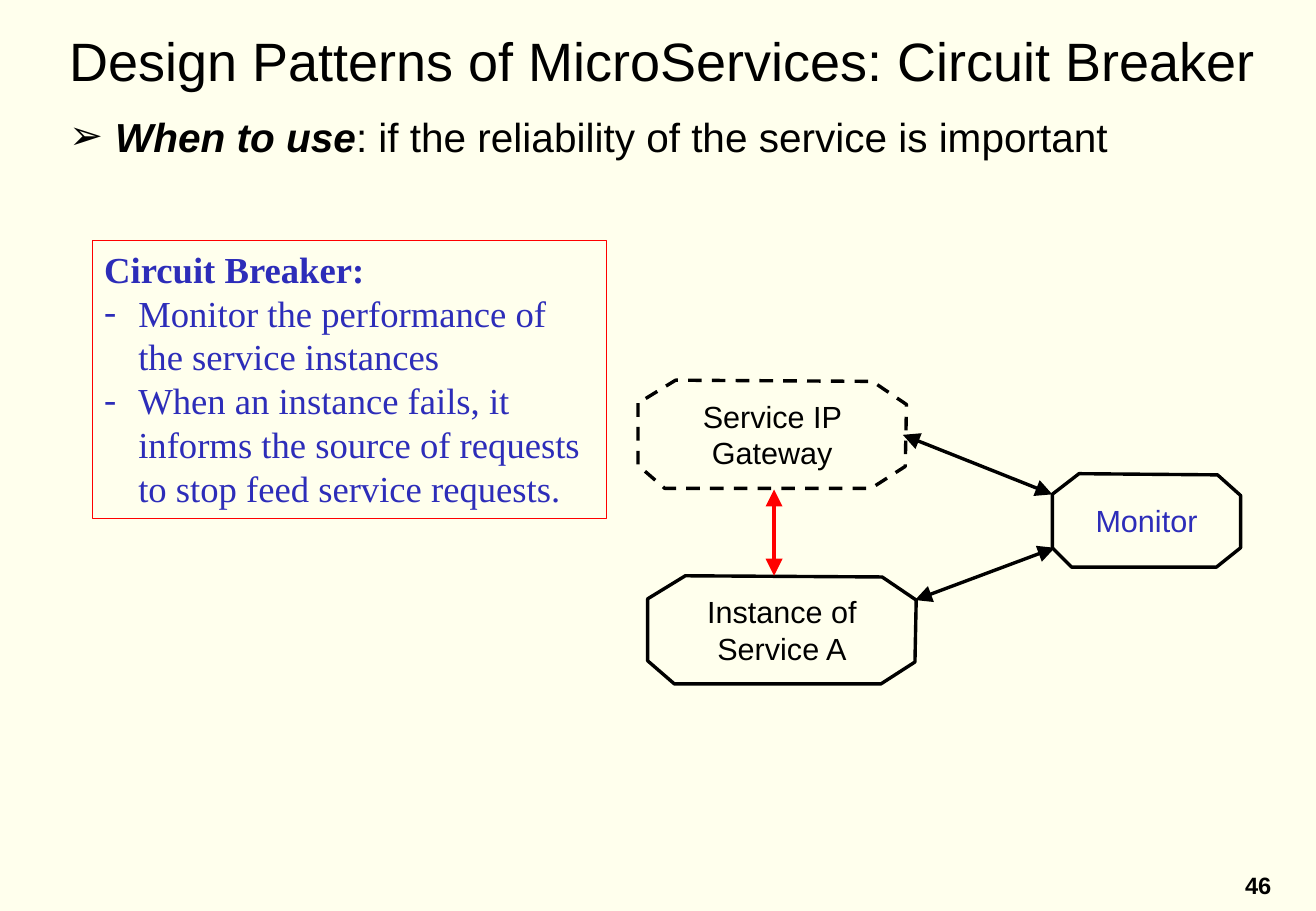
import pptx
import pptx.util
import pptx.dml.color
import pptx.enum.dml
import pptx.enum.shapes
import pptx.enum.text
import pptx.oxml.ns
import lxml.etree

PX = 9144
COLORS = {"cream": "FFFFED", "black": "000000", "red": "FF0000", "blue": "2D2DB9"}
ALIGN = pptx.enum.text.PP_ALIGN
ANCHOR = pptx.enum.text.MSO_ANCHOR
qn = pptx.oxml.ns.qn


def color(name):
    return pptx.dml.color.RGBColor.from_string(COLORS[name])


def write(shape, lines, size, ink="black", font="Arial", align=ALIGN.LEFT,
          anchor=ANCHOR.TOP, bullet=None, indent=0):
    frame = shape.text_frame
    frame.word_wrap = True
    frame.vertical_anchor = anchor
    for index, spans in enumerate(lines):
        para = frame.paragraphs[0] if index == 0 else frame.add_paragraph()
        para.alignment = align
        if bullet and (index > 0 or len(lines) == 1):
            properties = para._p.get_or_add_pPr()
            properties.set("marL", str(indent * PX))
            properties.set("indent", str(-indent * PX))
            lxml.etree.SubElement(properties, qn("a:buFont")).set("typeface", font)
            lxml.etree.SubElement(properties, qn("a:buChar")).set("char", bullet)
        para.font.name = font
        para.font.size = pptx.util.Pt(size)
        para.font.color.rgb = color(ink)
        for text, bold, italic in spans:
            span = para.add_run()
            span.text = text
            span.font.bold = bold
            span.font.italic = italic


deck = pptx.Presentation()
deck.slide_width = 1083 * PX
deck.slide_height = 750 * PX
page = deck.slides.add_slide(deck.slide_layouts[6])
page.background.fill.solid()
page.background.fill.fore_color.rgb = color("cream")
shapes = page.shapes

title = shapes.add_textbox(47 * PX, 15 * PX, 1007 * PX, 69 * PX)
write(title, [[("Design Patterns of MicroServices: Circuit Breaker", False, False)]],
      32, anchor=ANCHOR.MIDDLE)

usage = shapes.add_textbox(47 * PX, 87 * PX, 1002 * PX, 95 * PX)
write(usage, [[("When to use", True, True),
               (": if the reliability of the service is important", False, False)]],
      24, bullet="➢", indent=38)

service_outline = [(0, 19), (0, 70), (22, 89), (192, 89),
                   (220, 71), (221, 20), (193, 1), (31, 0)]
monitor_outline = [(0, 17), (0, 61), (16, 77), (135, 77),
                   (155, 61), (155, 18), (136, 1), (22, 0)]
nodes = [
    ("Instance of Service A", 533, 474, service_outline, "black", False),
    ("Monitor", 866, 390, monitor_outline, "blue", False),
    ("Service IP Gateway", 525, 313, service_outline, "black", True),
]
for label, left, top, outline, ink, dashed in nodes:
    points = [(left + x, top + y) for x, y in outline]
    builder = shapes.build_freeform(*points[0], scale=PX)
    builder.add_line_segments(points[1:], close=True)
    node = builder.convert_to_shape()
    node.shadow.inherit = False
    node.fill.background()
    node.line.color.rgb = color("black")
    node.line.width = pptx.util.Pt(2)
    if dashed:
        node.line.dash_style = pptx.enum.dml.MSO_LINE.DASH
    write(node, [[(label, False, False)]], 18.1, ink, align=ALIGN.CENTER,
          anchor=ANCHOR.MIDDLE)

arrows = [
    (637, 403, 637, 474, "red"),
    (868, 451, 753, 494, "black"),
    (743, 358, 866, 407, "black"),
]
for x1, y1, x2, y2, ink in arrows:
    arrow = shapes.add_connector(pptx.enum.shapes.MSO_CONNECTOR.STRAIGHT,
                                 x1 * PX, y1 * PX, x2 * PX, y2 * PX)
    arrow.line.color.rgb = color(ink)
    arrow.line.width = pptx.util.Pt(2)
    for end in ("a:headEnd", "a:tailEnd"):
        tip = lxml.etree.SubElement(arrow.line._get_or_add_ln(), qn(end))
        tip.set("type", "triangle")
        tip.set("w", "lg")
        tip.set("len", "lg")
    lxml.etree.SubElement(arrow._element.spPr, qn("a:effectLst"))

breaker = shapes.add_shape(pptx.enum.shapes.MSO_SHAPE.RECTANGLE,
                           76 * PX, 198 * PX, 423 * PX, 229 * PX)
breaker.shadow.inherit = False
breaker.fill.background()
breaker.line.color.rgb = color("red")
breaker.line.width = pptx.util.Pt(0.75)
write(breaker, [
    [("Circuit Breaker:", True, False)],
    [("Monitor the performance of the service instances", False, False)],
    [("When an instance fails, it informs the source of requests "
      "to stop feed service requests.", False, False)],
], 21.7, "blue", "Times New Roman", bullet="-", indent=28)

number = shapes.add_textbox(1010 * PX, 712 * PX, 51 * PX, 33 * PX)
write(number, [[("46", True, False)]], 14, align=ALIGN.CENTER)

deck.save("out.pptx")
